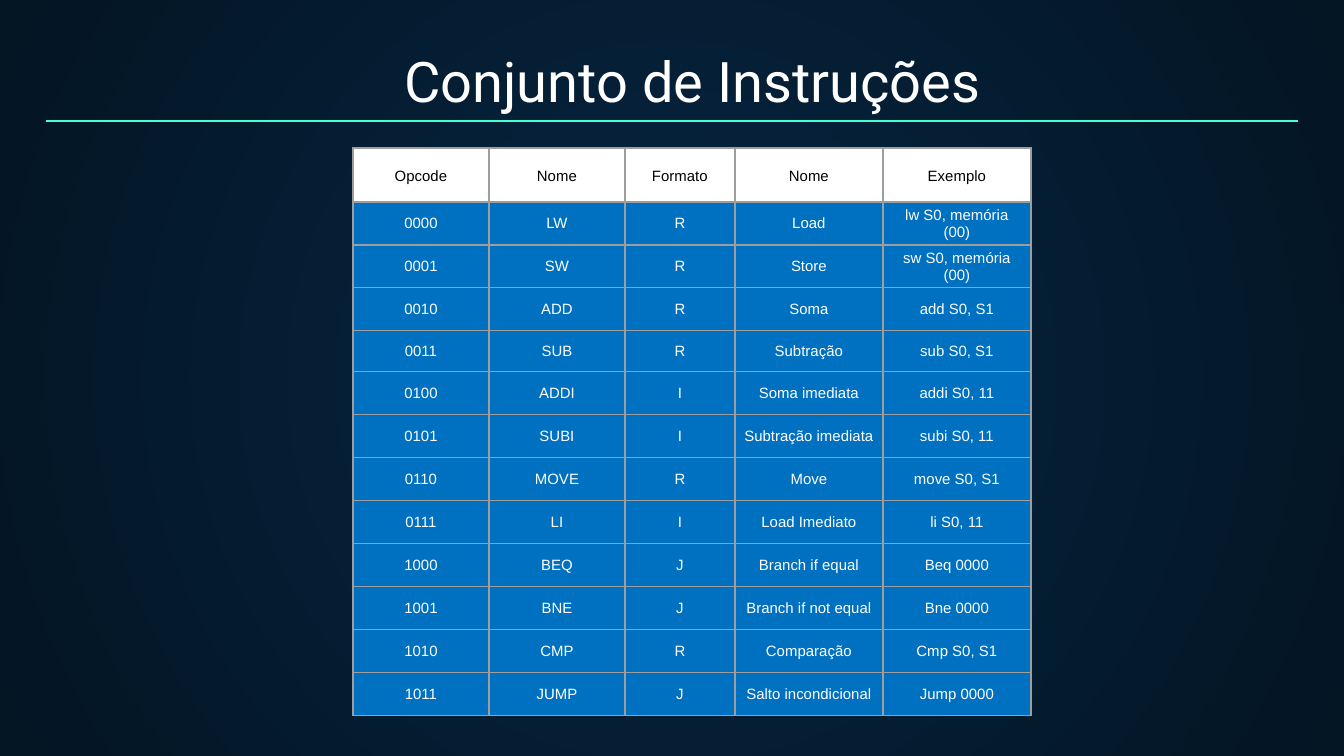
from typing import NamedTuple

from lxml import etree
from pptx import Presentation
from pptx.dml.color import RGBColor
from pptx.enum import shapes, text
from pptx.oxml import parse_xml
from pptx.oxml.ns import nsdecls, qn
from pptx import util as u

PX = 9144000 / 1344  # EMU in one px of a 1344 px wide page
WHITE, BLACK, BLUE, GREY, AQUA = "FFFFFF", "000000", "0070C0", "9E9E9E", "48FFD5"


class Instruction(NamedTuple):
    opcode: str
    mnemonic: str
    layout: str
    name: str
    example: str


HEADINGS = Instruction("Opcode", "Nome", "Formato", "Nome", "Exemplo")
INSTRUCTIONS = [
    Instruction("0000", "LW", "R", "Load", "lw S0, memória (00)"),
    Instruction("0001", "SW", "R", "Store", "sw S0, memória (00)"),
    Instruction("0010", "ADD", "R", "Soma", "add S0, S1"),
    Instruction("0011", "SUB", "R", "Subtração", "sub S0, S1"),
    Instruction("0100", "ADDI", "I", "Soma imediata", "addi S0, 11"),
    Instruction("0101", "SUBI", "I", "Subtração imediata", "subi S0, 11"),
    Instruction("0110", "MOVE", "R", "Move", "move S0, S1"),
    Instruction("0111", "LI", "I", "Load Imediato", "li S0, 11"),
    Instruction("1000", "BEQ", "J", "Branch if equal", "Beq 0000"),
    Instruction("1001", "BNE", "J", "Branch if not equal", "Bne 0000"),
    Instruction("1010", "CMP", "R", "Comparação", "Cmp S0, S1"),
    Instruction("1011", "JUMP", "J", "Salto incondicional", "Jump 0000"),
]
COLUMN_WIDTHS = [136, 136, 110, 148, 148]
HEADING_HEIGHT, ROW_HEIGHT = 54, 43
ROW_HEIGHTS = [HEADING_HEIGHT] + [ROW_HEIGHT] * len(INSTRUCTIONS)
ROW_HEIGHTS[4] = 41  # the SUB row is slightly lower


def px(length: int) -> int:
    return round(length * PX)


def colour(value: str) -> RGBColor:
    return RGBColor.from_string(value)


def write(frame, words: str, *, size: int, font: str, fill: str,
          line_spacing: float | None = None, space_after: int | None = None) -> None:
    para = frame.paragraphs[0]
    para.alignment = text.PP_ALIGN.CENTER
    if line_spacing is not None:
        para.line_spacing = line_spacing
    if space_after is not None:
        para.space_after = u.Pt(space_after)
    span = para.add_run()
    span.text = words
    span.font.size = u.Pt(size)
    span.font.name = font
    span.font.color.rgb = colour(fill)


def paint_background(page, centre: str, edge: str) -> None:
    fill = page.background.fill
    fill.gradient()
    for stop, value in zip(fill.gradient_stops, (centre, edge)):
        stop.color.rgb = colour(value)
    gradient = page.background._cSld.find(".//" + qn("a:gradFill"))
    linear = gradient.find(qn("a:lin"))
    gradient.replace(linear, parse_xml(
        f'<a:path {nsdecls("a")} path="circle">'
        '<a:fillToRect l="50000" t="50000" r="50000" b="50000"/></a:path>'))


def draw_rule(page, left: int, right: int, y: int) -> None:
    rule = page.shapes.add_connector(
        shapes.MSO_CONNECTOR.STRAIGHT, px(left), px(y), px(right), px(y))
    rule.line.color.rgb = colour(AQUA)
    rule.line.width = u.Pt(0.75)
    etree.SubElement(rule._element.spPr, qn("a:effectLst"))


def add_borders(cell, value: str, width: float) -> None:
    properties = cell._tc.get_or_add_tcPr()
    for index, side in enumerate(("lnL", "lnR", "lnT", "lnB")):
        properties.insert(index, parse_xml(
            f'<a:{side} {nsdecls("a")} w="{u.Pt(width)}"><a:solidFill>'
            f'<a:srgbClr val="{value}"/></a:solidFill></a:{side}>'))


def fill_cell(cell, words: str, heading: bool) -> None:
    cell.vertical_anchor = text.MSO_ANCHOR.MIDDLE
    cell.margin_left = cell.margin_right = px(8)
    cell.margin_top = cell.margin_bottom = 0
    cell.fill.solid()
    cell.fill.fore_color.rgb = colour(WHITE if heading else BLUE)
    spacing = {"line_spacing": 1.15, "space_after": 10} if heading else {}
    write(cell.text_frame, words, size=8, font="Arial",
          fill=BLACK if heading else WHITE, **spacing)
    add_borders(cell, GREY, 0.75)


def draw_table(page, left: int, top: int, rows: list[Instruction]) -> None:
    table = page.shapes.add_table(
        len(rows), len(COLUMN_WIDTHS), px(left), px(top),
        px(sum(COLUMN_WIDTHS)), px(sum(ROW_HEIGHTS))).table
    table.first_row = table.horz_banding = False
    for column, width in zip(table.columns, COLUMN_WIDTHS):
        column.width = px(width)
    for row, height, entry in zip(table.rows, ROW_HEIGHTS, rows):
        row.height = px(height)
        for cell, words in zip(row.cells, entry):
            fill_cell(cell, words, heading=entry is HEADINGS)


def main() -> None:
    deck = Presentation()
    deck.slide_width, deck.slide_height = px(1344), px(756)
    page = deck.slides.add_slide(deck.slide_layouts[6])
    paint_background(page, "052643", "041523")

    # Title and its rule
    draw_rule(page, 46, 1298, 121)
    box = page.shapes.add_textbox(px(382), px(40), px(621), px(82))
    box.text_frame.word_wrap = False
    box.text_frame.auto_size = text.MSO_AUTO_SIZE.SHAPE_TO_FIT_TEXT
    write(box.text_frame, "Conjunto de Instruções", size=30, font="Roboto", fill=WHITE)

    # Instruction set
    draw_table(page, 353, 148, [HEADINGS] + INSTRUCTIONS)
    deck.save("out.pptx")


if __name__ == "__main__":
    main()
